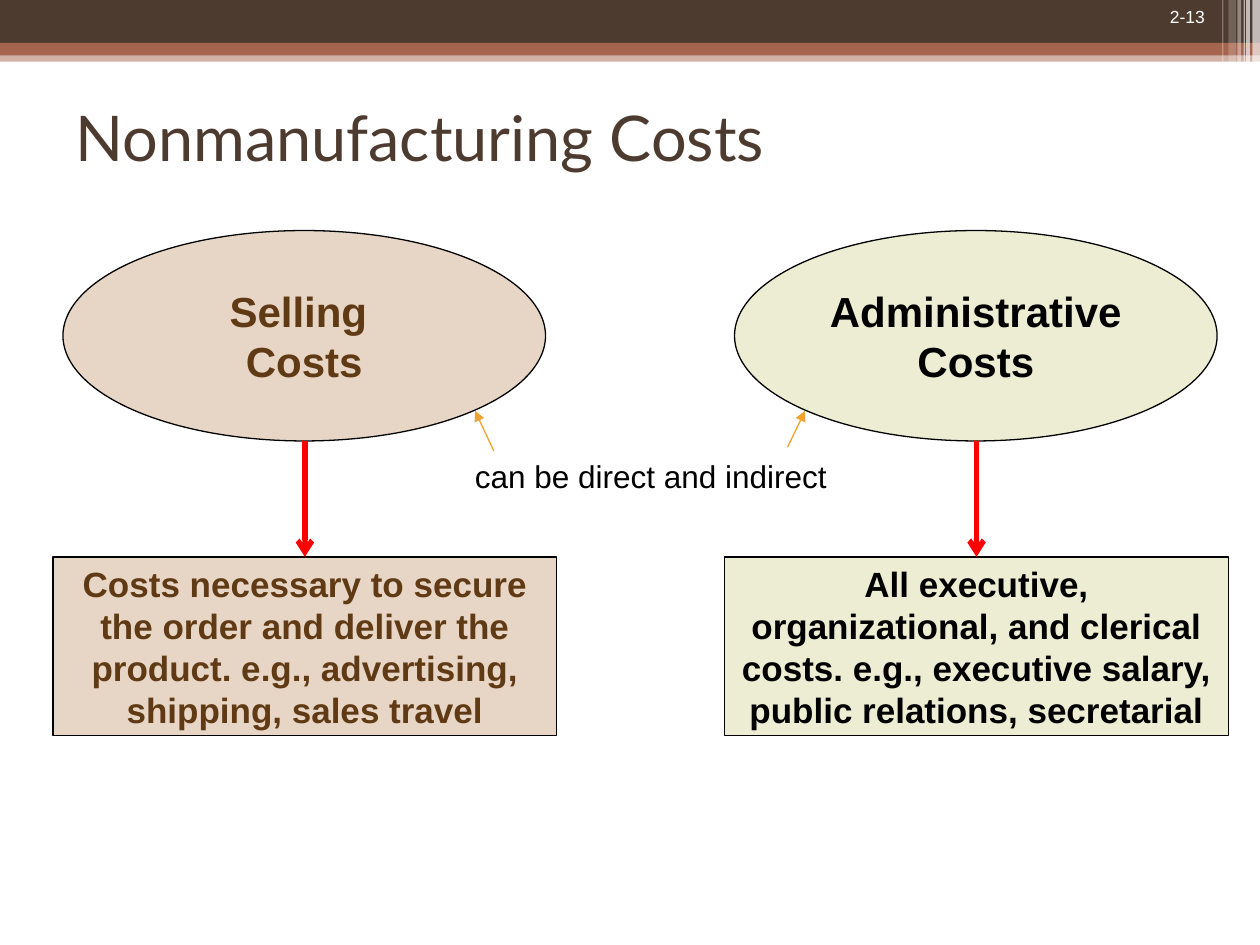
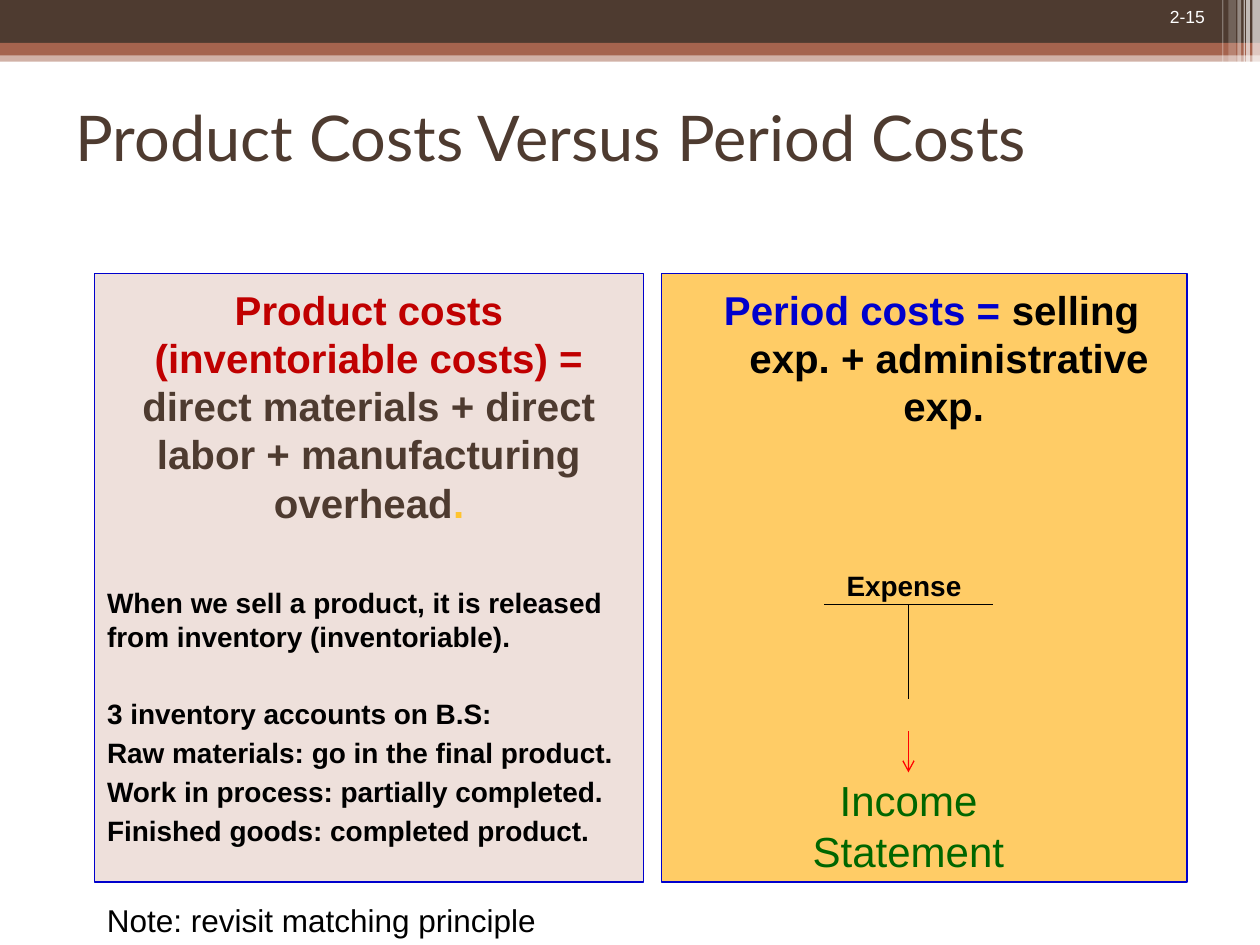
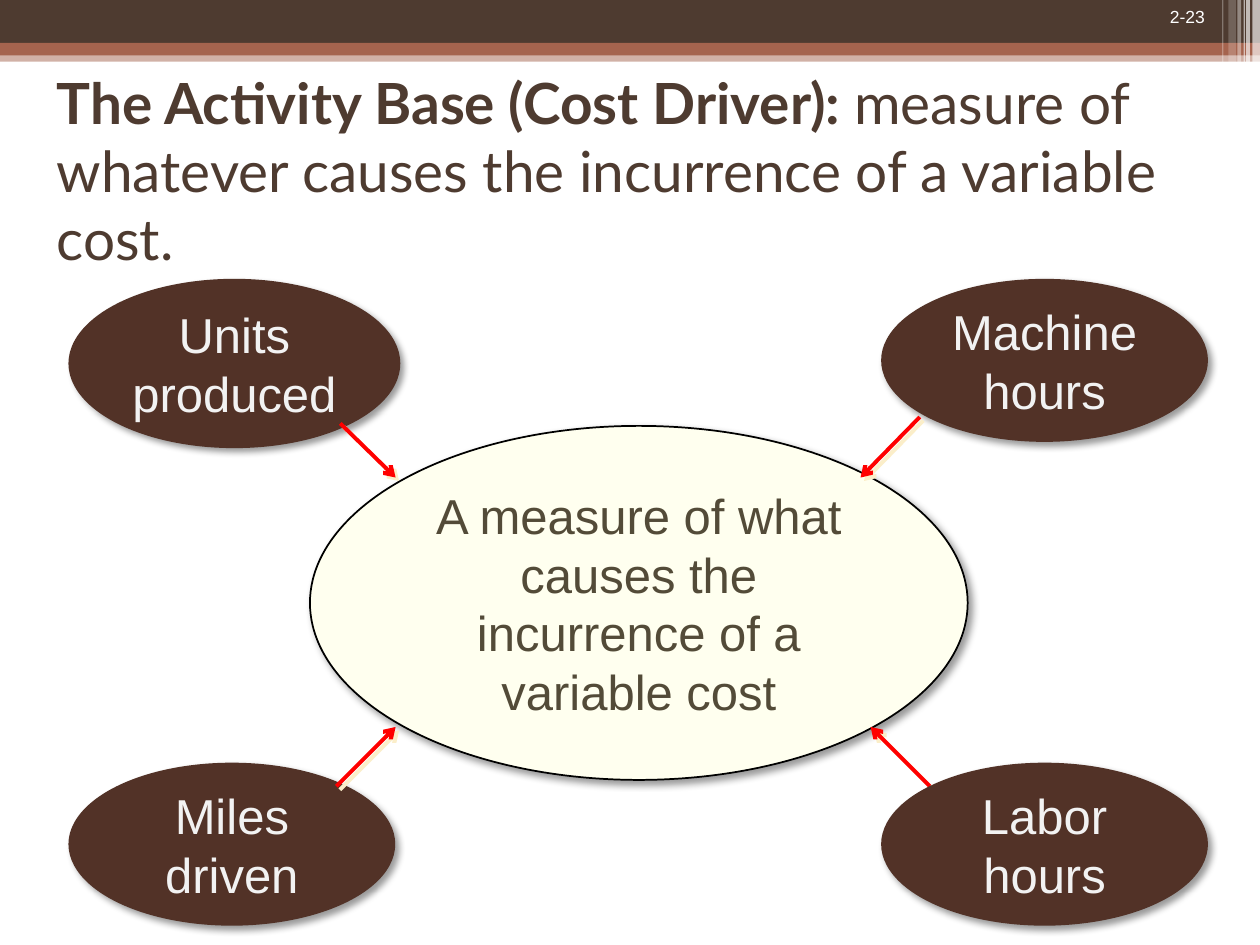
from dataclasses import dataclass
from typing import Any

import pptx
import pptx.dml.color
import pptx.enum.shapes
import pptx.enum.text
import pptx.oxml.ns
import pptx.util
from lxml import etree

Inches = pptx.util.Inches
Pt = pptx.util.Pt
qn = pptx.oxml.ns.qn
Align = pptx.enum.text.PP_ALIGN
Anchor = pptx.enum.text.MSO_ANCHOR
Kind = pptx.enum.shapes.MSO_SHAPE

COLORS = {
    "brown": "4E3B30", "rust": "A5644E", "white": "FFFFFF", "black": "000000",
    "sand": "E7D6C5", "umber": "603A14", "sage": "EDEDD3", "red": "FF0000",
    "amber": "F0A22E", "blush": "EEE0DB", "blue": "0000CC", "crimson": "C00000",
    "gold": "FFC42F", "honey": "FFCC66", "green": "006600", "ivory": "FFFFEF",
    "olive": "534B38", "cocoa": "523227", "pale": "F2F2F2", "cream": "FBEEC9",
}


@dataclass(frozen=True)
class Box:
    left: float
    top: float
    width: float
    height: float


@dataclass(frozen=True)
class Band:
    box: Box
    color: str
    alpha: int = 100


@dataclass(frozen=True)
class Bit:
    text: str
    color: str
    bold: bool = False


@dataclass(frozen=True)
class Para:
    bits: tuple[Bit, ...]
    size: float
    before: float = 0
    align: Any = Align.LEFT
    margin: float = 0
    indent: float = 0


@dataclass(frozen=True)
class Shade:
    color: str
    alpha: int
    blur: float
    gap: float


@dataclass(frozen=True)
class Look:
    fill: str
    line: str
    weight: float
    ink: str
    size: float
    bold: bool = False
    shade: Shade | None = None


@dataclass(frozen=True)
class Arrow:
    start: tuple[float, float]
    end: tuple[float, float]
    color: str
    weight: float = 0.75
    head: str = ""
    shade: Shade | None = None


@dataclass(frozen=True)
class Cost:
    left: float
    name: str
    note: str
    look: Look
    body: Look


BANDS = [
    Band(Box(0, 0.4, 10, 0.09), "rust", 50),
    Band(Box(0, 0, 10, 0.34), "brown"),
    Band(Box(0, 0.34, 10, 0.1), "rust"),
    Band(Box(9.94, 0, 0.06, 0.68), "white", 65),
    Band(Box(9.89, 0, 0.03, 0.68), "white", 65),
    Band(Box(9.87, 0, 0.01, 0.68), "white", 60),
    Band(Box(9.82, 0, 0.03, 0.68), "white", 40),
    Band(Box(9.75, 0, 0.06, 0.64), "white", 20),
    Band(Box(9.7, 0, 0.01, 0.64), "white", 30),
]
TITLE = Box(0.5, 0.5, 9, 1.17)
DROP = Shade("black", 40, 4, 3)
HALO = Shade("cream", 100, 0, 2.8)


def paint(name: str) -> Any:
    return pptx.dml.color.RGBColor.from_string(COLORS[name])


def place(shape: Any, box: Box) -> None:
    shape.left, shape.top = Inches(box.left), Inches(box.top)
    shape.width, shape.height = Inches(box.width), Inches(box.height)


def fade(node: Any, alpha: int) -> None:
    etree.SubElement(node, qn("a:alpha"), val=str(alpha * 1000))


def cast(shape: Any, shade: Shade | None) -> None:
    props = shape.element.spPr
    effect = props.find(qn("a:effectLst"))
    if effect is None:
        effect = etree.SubElement(props, qn("a:effectLst"))
    if shade:
        drop = etree.SubElement(
            effect, qn("a:outerShdw"), blurRad=str(Pt(shade.blur)),
            dist=str(Pt(shade.gap)), dir="2700000", algn="tl", rotWithShape="0")
        fade(etree.SubElement(drop, qn("a:srgbClr"), val=COLORS[shade.color]), shade.alpha)


def style(run: Any, size: float, color: str, bold: bool, face: str = "Arial") -> None:
    run.font.name = face
    run.font.size = Pt(size)
    run.font.bold = bold
    run.font.color.rgb = paint(color)


def write(frame: Any, paras: list[Para], face: str = "Arial") -> None:
    for index, para in enumerate(paras):
        line = frame.add_paragraph() if index else frame.paragraphs[0]
        props = line._p.get_or_add_pPr()
        props.set("marL", str(Inches(para.margin)))
        props.set("indent", str(Inches(para.indent)))
        etree.SubElement(props, qn("a:buNone"))
        line.alignment = para.align
        line.space_before = Pt(para.before)
        for bit in para.bits:
            run = line.add_run()
            run.text = bit.text
            style(run, para.size, bit.color, bit.bold, face)


def label(slide: Any, box: Box, text: str, color: str, size: float, bold: bool = False,
          align: Any = Align.LEFT, wrap: bool = False) -> None:
    shape = slide.shapes.add_textbox(0, 0, 0, 0)
    place(shape, box)
    frame = shape.text_frame
    frame.word_wrap = wrap
    frame.text = text
    for para in frame.paragraphs:
        para.alignment = align
        for run in para.runs:
            style(run, size, color, bold)


def block(slide: Any, kind: Any, box: Box, text: str, look: Look) -> Any:
    shape = slide.shapes.add_shape(kind, 0, 0, 0, 0)
    place(shape, box)
    shape.fill.solid()
    shape.fill.fore_color.rgb = paint(look.fill)
    shape.line.color.rgb = paint(look.line)
    shape.line.width = Pt(look.weight)
    shape.shadow.inherit = False
    cast(shape, look.shade)
    frame = shape.text_frame
    frame.text = text
    frame.vertical_anchor = Anchor.MIDDLE
    for para in frame.paragraphs:
        para.alignment = Align.CENTER
        for run in para.runs:
            style(run, look.size, look.ink, look.bold)
    return shape


def join(slide: Any, arrow: Arrow) -> Any:
    ends = [Inches(value) for value in arrow.start + arrow.end]
    line = slide.shapes.add_connector(pptx.enum.shapes.MSO_CONNECTOR.STRAIGHT, *ends)
    line.line.color.rgb = paint(arrow.color)
    line.line.width = Pt(arrow.weight)
    if arrow.head:
        etree.SubElement(line.element.spPr.find(qn("a:ln")), qn("a:tailEnd"), type=arrow.head)
    cast(line, arrow.shade)
    return line


def start(deck: Any, layout: int, page: str, title: list[Bit],
          size: float = 36, box: Box = TITLE) -> Any:
    slide = deck.slides.add_slide(deck.slide_layouts[layout])
    for band in BANDS:
        shape = slide.shapes.add_shape(Kind.RECTANGLE, 0, 0, 0, 0)
        place(shape, band.box)
        shape.fill.solid()
        shape.fill.fore_color.rgb = paint(band.color)
        if band.alpha < 100:
            fade(shape.element.spPr.find(f".//{qn('a:srgbClr')}"), band.alpha)
        shape.line.fill.background()
        shape.shadow.inherit = False
    label(slide, Box(8.58, 0, 1.08, 0.27), page, "white", 10, align=Align.RIGHT, wrap=True)
    head = slide.shapes.title
    place(head, box)
    frame = head.text_frame
    frame.auto_size = pptx.enum.text.MSO_AUTO_SIZE.NONE
    frame.vertical_anchor = Anchor.MIDDLE
    write(frame, [Para(tuple(title), size)], "Lato")
    return slide


def panel(shape: Any, box: Box, fill: str, paras: list[Para]) -> None:
    place(shape, box)
    shape.fill.solid()
    shape.fill.fore_color.rgb = paint(fill)
    shape.line.color.rgb = paint("blue")
    shape.line.width = Pt(0.75)
    frame = shape.text_frame
    frame.auto_size = pptx.enum.text.MSO_AUTO_SIZE.NONE
    frame.vertical_anchor = Anchor.TOP
    frame.margin_top = Inches(0.09)
    write(frame, paras)


def draw_costs(deck: Any) -> None:
    slide = start(deck, 5, "2-13", [Bit("Nonmanufacturing Costs", "brown")])
    costs = [
        Cost(0.42, "Selling \vCosts",
             "Costs necessary to secure the order and deliver the product. "
             "e.g., advertising, shipping, sales travel",
             Look("sand", "black", 0.75, "umber", 24, True),
             Look("sand", "black", 0.75, "umber", 20, True)),
        Cost(5.75, "Administrative Costs",
             "All executive, organizational, and clerical costs. "
             "e.g., executive salary, public relations, secretarial",
             Look("sage", "black", 0.75, "black", 24, True),
             Look("sage", "black", 0.75, "black", 20, True)),
    ]
    for cost in costs:
        middle = cost.left + 2
        block(slide, Kind.OVAL, Box(cost.left + 0.08, 1.83, 3.83, 1.67), cost.name, cost.look)
        note = block(slide, Kind.RECTANGLE, Box(cost.left, 4.42, 4, 1.42), cost.note, cost.body)
        line = join(slide, Arrow((middle, 3.5), (middle, 4.42), "red", 3, "arrow"))
        line.end_connect(note, 0)
    label(slide, Box(3.67, 3.58, 3.02, 0.4), "can be direct and indirect", "black", 18)
    join(slide, Arrow((3.92, 3.58), (3.77, 3.26), "amber", head="triangle"))
    join(slide, Arrow((6.25, 3.55), (6.39, 3.26), "amber", head="triangle"))


def draw_versus(deck: Any) -> None:
    slide = start(deck, 3, "2-15", [Bit("Product Costs Versus Period Costs", "brown")])
    notes = [
        ("When we sell a product, it is released from inventory (inventoriable).", 34),
        ("3 inventory accounts on B.S:", 25),
        ("Raw materials: go in the final product.", 3),
        ("Work in process: partially completed.", 3),
        ("Finished goods: completed product.", 3),
    ]
    product = Para((
        Bit("Product costs (inventoriable costs) = ", "crimson", True),
        Bit("direct materials + direct labor + manufacturing overhead", "brown", True),
        Bit(".", "gold", True)), 23, align=Align.CENTER)
    period = Para((
        Bit("Period costs =", "blue", True),
        Bit(" selling exp. + administrative exp. ", "black", True)),
        23, align=Align.CENTER, margin=0.4, indent=-0.28)
    details = [Para((Bit(text, "black", True),), 16, gap) for text, gap in notes]
    panel(slide.placeholders[1], Box(0.75, 2.17, 4.36, 4.83), "blush", [product, *details])
    panel(slide.placeholders[2], Box(5.25, 2.17, 4.17, 4.83), "honey", [period])
    join(slide, Arrow((6.54, 4.8), (7.88, 4.8), "black"))
    join(slide, Arrow((7.21, 4.8), (7.21, 5.55), "black"))
    label(slide, Box(6.62, 4.46, 1.11, 0.37), "Expense", "black", 16, True)
    label(slide, Box(6.35, 6.1, 1.72, 0.9), "Income\vStatement", "green", 24, align=Align.CENTER)
    join(slide, Arrow((7.21, 5.8), (7.21, 6.13), "red", head="arrow"))
    label(slide, Box(0.75, 7.1, 3.81, 0.4), "Note: revisit matching principle", "black", 18)


def draw_driver(deck: Any) -> None:
    title = [
        Bit("The Activity Base (Cost Driver): ", "brown", True),
        Bit("measure of whatever causes the incurrence of a variable cost.", "brown"),
    ]
    slide = start(deck, 5, "2-23", title, 32.4, Box(0.35, 0.62, 9.33, 1.46))
    hub = Look("ivory", "black", 1, "olive", 28, shade=DROP)
    leaf = Look("cocoa", "cocoa", 1, "pale", 28, shade=DROP)
    block(slide, Kind.OVAL, Box(2.46, 3.38, 5.22, 2.81),
          "A measure of what causes the incurrence of a variable cost", hub)
    drivers = [
        ("Units\vproduced", Box(0.55, 2.22, 2.62, 1.33), (2.7, 3.36), (3.14, 3.79)),
        ("Miles driven", Box(0.55, 6.06, 2.58, 1.28), (2.67, 6.24), (3.14, 5.77)),
        ("Machine hours", Box(7, 2.22, 2.58, 1.28), (7.3, 3.31), (6.83, 3.79)),
        ("Labor hours", Box(7, 6.06, 2.58, 1.28), (7.38, 6.24), (6.91, 5.77)),
    ]
    for name, box, tail, tip in drivers:
        if name == "Labor hours":
            join(slide, Arrow(tail, tip, "red", 2.25, "arrow", HALO))
            block(slide, Kind.OVAL, box, name, leaf)
        else:
            block(slide, Kind.OVAL, box, name, leaf)
            join(slide, Arrow(tail, tip, "red", 2.25, "arrow", HALO))


def main() -> None:
    deck = pptx.Presentation()
    deck.slide_width, deck.slide_height = Inches(10), Inches(7.5)
    draw_costs(deck)
    draw_versus(deck)
    draw_driver(deck)
    deck.save("out.pptx")


if __name__ == "__main__":
    main()
